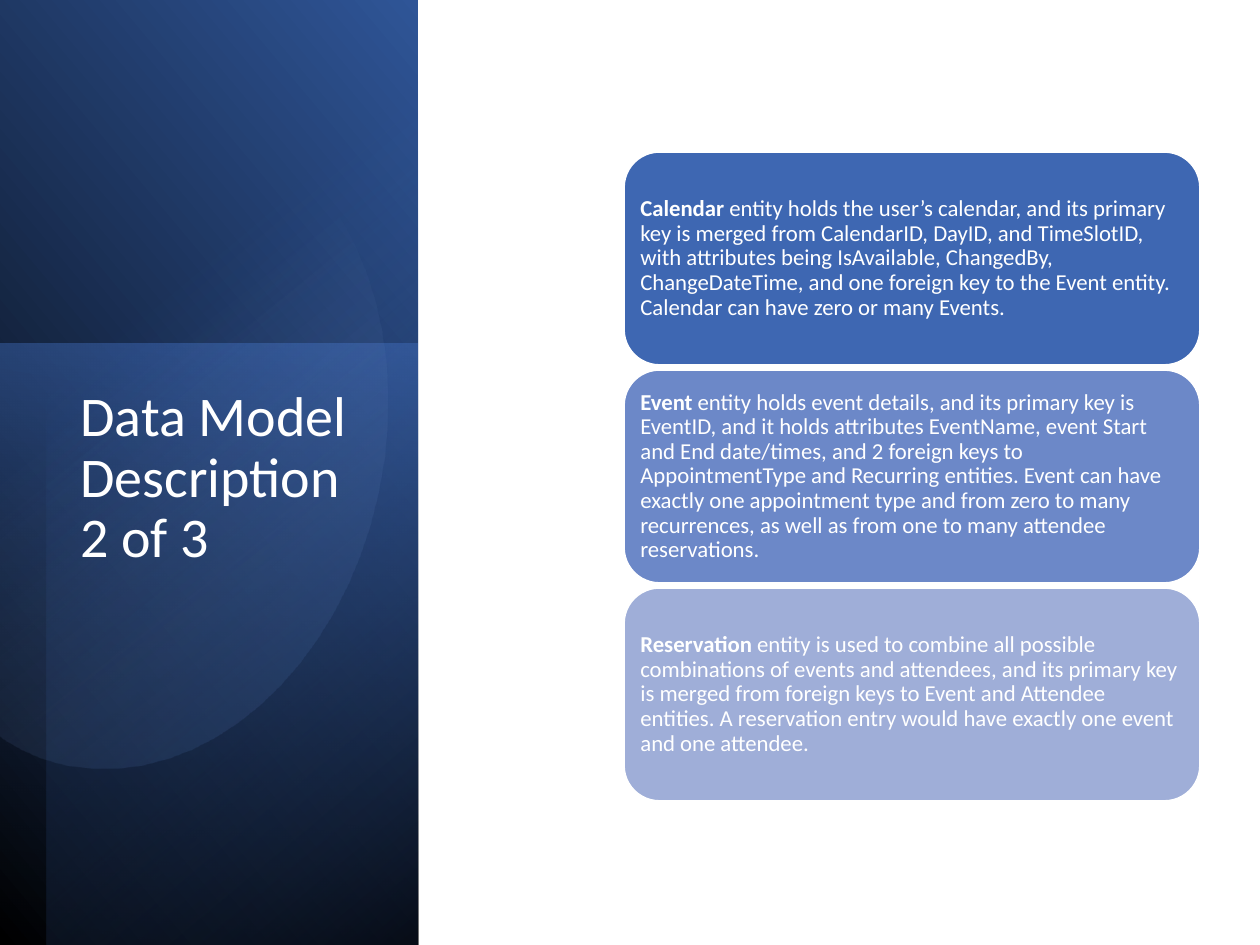
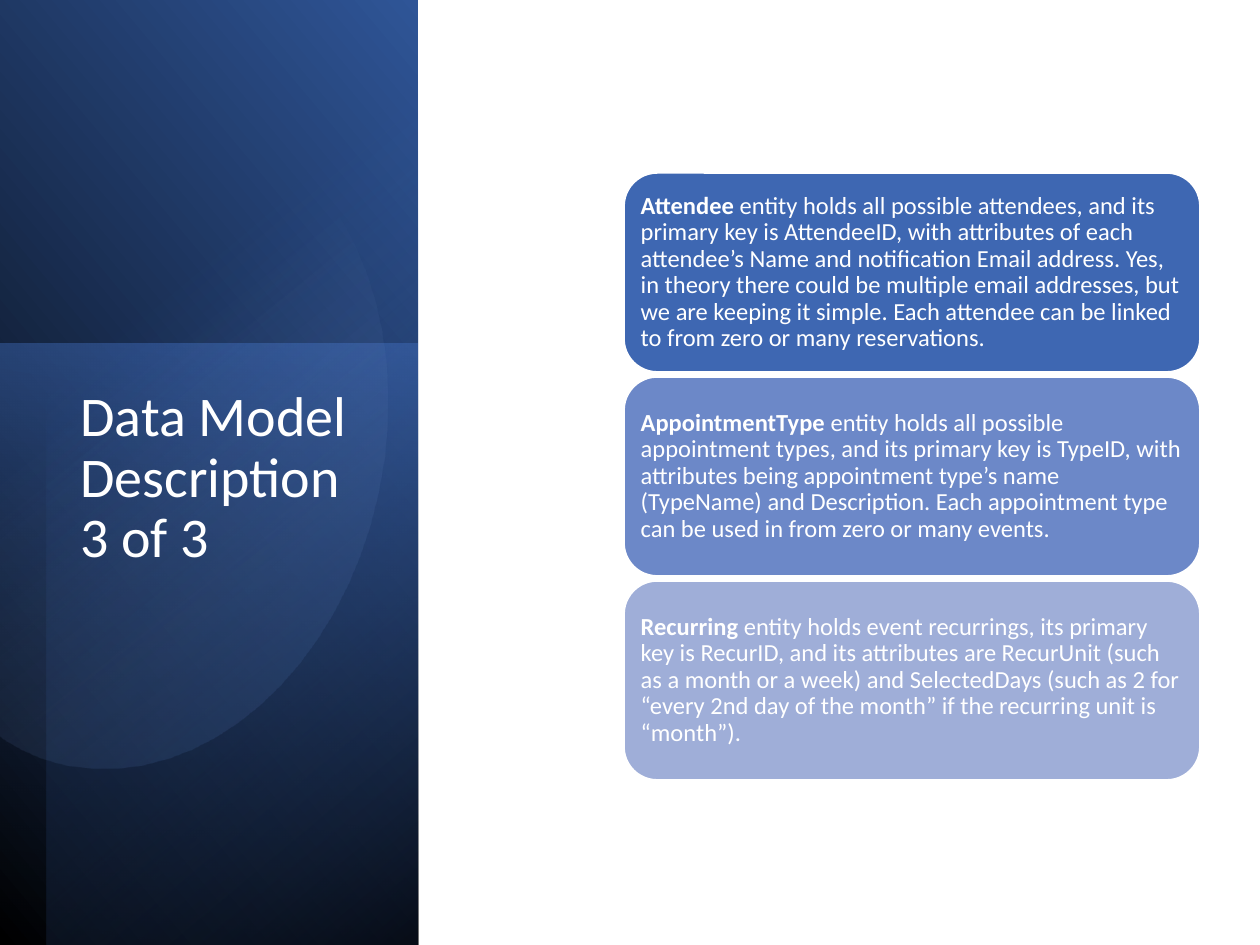
from lxml.etree import SubElement
from pptx import Presentation
from pptx.dml.color import RGBColor
from pptx.enum.shapes import MSO_SHAPE as Shape
from pptx.enum.text import MSO_ANCHOR as Anchor, PP_ALIGN as Align
from pptx.oxml.ns import qn
from pptx.util import Emu, Pt

EMU_PER_PX = 914400 / 126
SLIDE_WIDTH, SLIDE_HEIGHT = 1260, 945

FONT = "Calibri"
BLACK = RGBColor(0x00, 0x00, 0x00)
WHITE = RGBColor(0xFF, 0xFF, 0xFF)
NAVY = RGBColor(0x20, 0x38, 0x64)
DEEP_BLUE = RGBColor(0x2F, 0x55, 0x97)
BLUE = RGBColor(0x44, 0x72, 0xC4)
PALE_BLUE = RGBColor(0x8F, 0xAA, 0xDC)
CARD_COLORS = (
    RGBColor(0x3E, 0x67, 0xB2),
    RGBColor(0x6C, 0x88, 0xC8),
    RGBColor(0x9F, 0xAE, 0xD8),
)

# Boxes are left, top, width, height
PANEL = (0, 0, 418, SLIDE_HEIGHT)
TITLE = (68, 382, 297, 422)
CARD_LEFT, CARD_WIDTH, CARD_GAP, CARDS_MIDDLE = 624, 576, 5, 476

# Arc relative to the panel: cubic curves (three points) and lines (one point)
ARC_START = (151, 112)
ARC_SEGMENTS = (
    ((168, 111), (185, 112), (202, 115)),
    ((336, 142), (415, 311), (378, 490)),
    ((341, 669), (203, 791), (68, 765)),
    ((43, 760), (20, 750), (-1, 735)),
    ((-15, 723),),
    ((11, 174),),
    ((32, 158),),
    ((68, 131), (110, 114), ARC_START),
)
CURVE_STEPS = 16

# Title, card height, text inset, text size, cards as (entity, description)
SLIDES = (
    ("Data Model Description 2 of 3", 213, 6, 13, (
        ("Calendar",
         " entity holds the user’s calendar, and its primary key is merged from "
         "CalendarID, DayID, and TimeSlotID, with attributes being IsAvailable, "
         "ChangedBy, ChangeDateTime, and one foreign key to the Event entity. "
         "Calendar can have zero or many Events."),
        ("Event",
         " entity holds event details, and its primary key is EventID, and it holds "
         "attributes EventName, event Start and End date/times, and 2 foreign keys "
         "to AppointmentType and Recurring entities. Event can have exactly one "
         "appointment type and from zero to many recurrences, as well as from one "
         "to many attendee reservations."),
        ("Reservation",
         " entity is used to combine all possible combinations of events and "
         "attendees, and its primary key is merged from foreign keys to Event and "
         "Attendee entities. A reservation entry would have exactly one event and "
         "one attendee."),
    )),
    ("Data Model Description 3 of 3", 199, 7, 14, (
        ("Attendee",
         " entity holds all possible attendees, and its primary key is AttendeeID, "
         "with attributes of each attendee’s Name and notification Email address. "
         "Yes, in theory there could be multiple email addresses, but we are "
         "keeping it simple. Each attendee can be linked to from zero or many "
         "reservations."),
        ("AppointmentType",
         " entity holds all possible appointment types, and its primary key is "
         "TypeID, with attributes being appointment type’s name (TypeName) and "
         "Description. Each appointment type can be used in from zero or many "
         "events."),
        ("Recurring",
         " entity holds event recurrings, its primary key is RecurID, and its "
         "attributes are RecurUnit (such as a month or a week) and SelectedDays "
         "(such as 2 for “every 2nd day of the month” if the recurring unit is "
         "“month”)."),
    )),
)


def px(length):
    return Emu(round(length * EMU_PER_PX))


def place(box):
    return [px(length) for length in box]


def fill_gradient(shape, clockwise_angle, stops):
    """Fill with two stops, each (position %, colour, opacity %)."""
    shape.shadow.inherit = False
    shape.line.fill.background()
    shape.fill.gradient()
    shape.fill.gradient_angle = 360 - clockwise_angle
    for gradient_stop, (position, color, _) in zip(shape.fill.gradient_stops, stops):
        gradient_stop.position = position / 100
        gradient_stop.color.rgb = color
    color_elements = list(shape._element.iter(qn("a:srgbClr")))
    for element, (_, _, opacity) in zip(color_elements, stops):
        if opacity < 100:
            SubElement(element, qn("a:alpha")).set("val", str(opacity * 1000))


def add_run(paragraph, text, size, bold=False):
    run = paragraph.add_run()
    run.text = text
    run.font.name = FONT
    run.font.size = Pt(size)
    run.font.bold = bold
    run.font.color.rgb = WHITE


def curve_points(start, control_1, control_2, end):
    for step in range(1, CURVE_STEPS + 1):
        t = step / CURVE_STEPS
        weights = ((1 - t) ** 3, 3 * t * (1 - t) ** 2, 3 * t ** 2 * (1 - t), t ** 3)
        corners = (start, control_1, control_2, end)
        yield tuple(
            sum(weight * corner[axis] for weight, corner in zip(weights, corners))
            for axis in (0, 1)
        )


def add_arc(slide, left, top):
    points, current = [], ARC_START
    for segment in ARC_SEGMENTS:
        points += segment if len(segment) == 1 else curve_points(current, *segment)
        current = segment[-1]
    builder = slide.shapes.build_freeform(
        px(left + ARC_START[0]), px(top + ARC_START[1]), scale=1.0)
    builder.add_line_segments([(px(left + x), px(top + y)) for x, y in points])
    fill_gradient(builder.convert_to_shape(), 51.6,
                  ((39, PALE_BLUE, 0), (100, DEEP_BLUE, 26)))


def add_panel(slide, box):
    left, top, width, height = box
    layers = (
        # Base, lower glow, shade towards the bottom
        (box, 320, ((0, BLACK, 100), (100, DEEP_BLUE, 100))),
        ((left, top + 344, width, height - 344), 100,
         ((0, BLUE, 50), (100, NAVY, 0))),
        ((left + 47, top, width - 47, height), 230,
         ((0, BLACK, 59), (69, BLUE, 0))),
    )
    for layer_box, angle, stops in layers:
        layer = slide.shapes.add_shape(Shape.RECTANGLE, *place(layer_box))
        fill_gradient(layer, angle, stops)
    add_arc(slide, left, top)


def add_title(slide, box, text):
    frame = slide.shapes.add_textbox(*place(box)).text_frame
    frame.word_wrap = True
    paragraph = frame.paragraphs[0]
    paragraph.line_spacing = 0.9
    add_run(paragraph, text, 32)


def add_card(slide, box, color, inset, size, entity, description):
    card = slide.shapes.add_shape(Shape.ROUNDED_RECTANGLE, *place(box))
    card.shadow.inherit = False
    card.fill.solid()
    card.fill.fore_color.rgb = color
    card.line.color.rgb = WHITE
    card.line.width = Pt(1)
    frame = card.text_frame
    frame.word_wrap = True
    frame.vertical_anchor = Anchor.MIDDLE
    frame.margin_left = frame.margin_right = px(inset)
    frame.margin_top = frame.margin_bottom = px(inset)
    paragraph = frame.paragraphs[0]
    paragraph.alignment = Align.LEFT
    paragraph.line_spacing = 0.9
    add_run(paragraph, entity, size, bold=True)
    add_run(paragraph, description, size)


def add_cards(slide, card_height, inset, size, cards):
    pitch = card_height + CARD_GAP
    top = CARDS_MIDDLE - (len(cards) * pitch - CARD_GAP) // 2
    for index, (color, card) in enumerate(zip(CARD_COLORS, cards)):
        box = (CARD_LEFT, top + index * pitch, CARD_WIDTH, card_height)
        add_card(slide, box, color, inset, size, *card)


def main():
    presentation = Presentation()
    presentation.slide_width = px(SLIDE_WIDTH)
    presentation.slide_height = px(SLIDE_HEIGHT)
    for title, card_height, inset, size, cards in SLIDES:
        slide = presentation.slides.add_slide(presentation.slide_layouts[6])
        add_panel(slide, PANEL)
        add_title(slide, TITLE, title)
        add_cards(slide, card_height, inset, size, cards)
    presentation.save("out.pptx")


if __name__ == "__main__":
    main()
